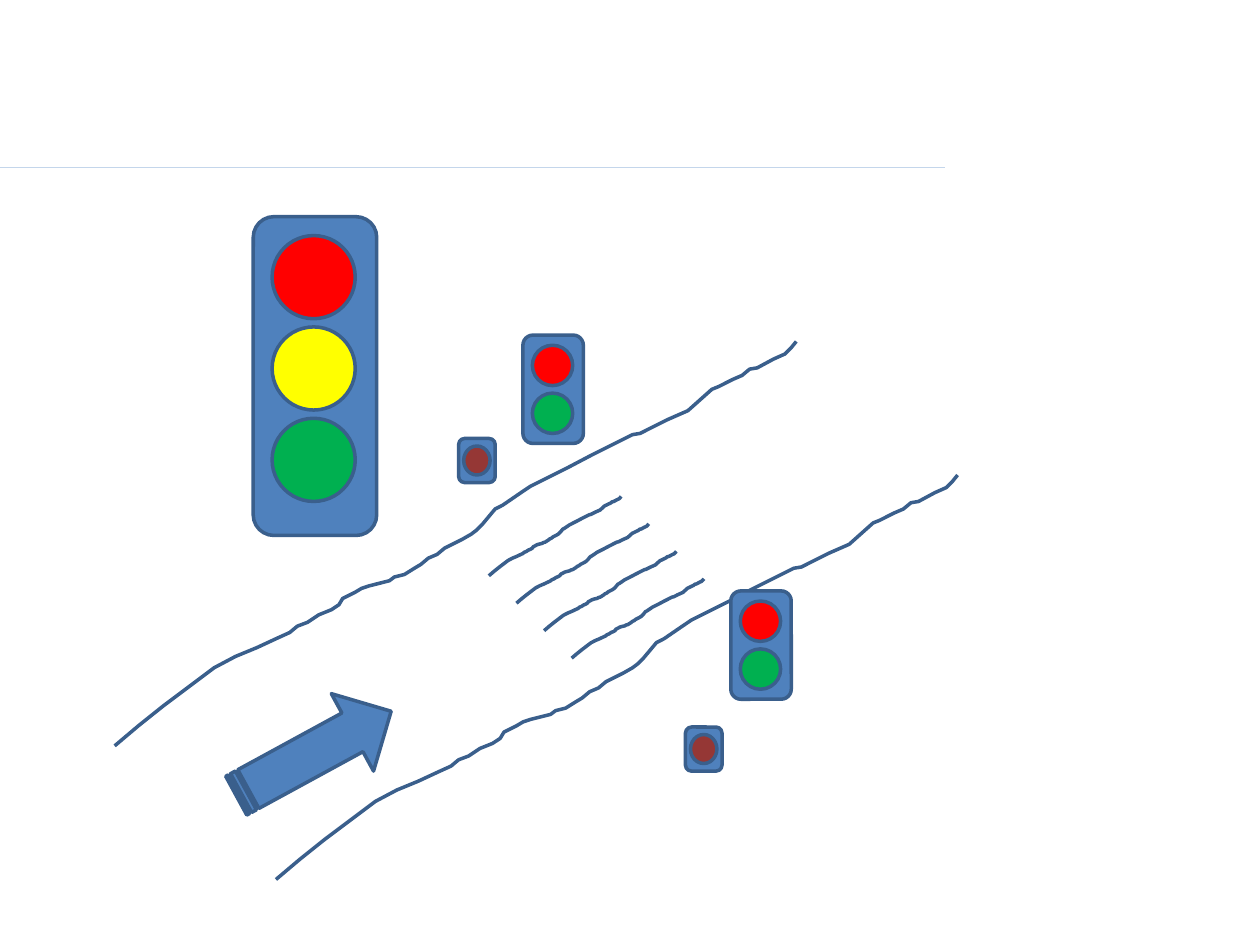
"""Build a slide of a road crossing with its traffic lights."""
from typing import NamedTuple

from lxml import etree
from pptx import Presentation
from pptx.dml.color import RGBColor
from pptx.enum.shapes import MSO_CONNECTOR, MSO_SHAPE
from pptx.oxml.ns import qn
from pptx.util import Inches, Pt

BLUE = RGBColor(0x4F, 0x81, 0xBD)
EDGE = RGBColor(0x3A, 0x5F, 0x8C)
PALE = RGBColor(0xC4, 0xD6, 0xEB)
RED = RGBColor(0xFF, 0x00, 0x00)
YELLOW = RGBColor(0xFF, 0xFF, 0x00)
GREEN = RGBColor(0x00, 0xB0, 0x50)
BROWN = RGBColor(0x95, 0x37, 0x35)
ROUND = MSO_SHAPE.ROUNDED_RECTANGLE
OVAL = MSO_SHAPE.OVAL
ARROW = MSO_SHAPE.STRIPED_RIGHT_ARROW
STRAIGHT = MSO_CONNECTOR.STRAIGHT

WIDTH, HEIGHT = Inches(10), Inches(7.5)
COLS, ROWS = 100, 75
COL, ROW = WIDTH / COLS, HEIGHT / ROWS
THICK = {"width": Pt(2)}
THIN = {"width": Pt(0.75)}

WAVE_WIDTH, WAVE_HEIGHT = 541, 321
WAVE = [
    (0, 321), (19, 305), (39, 289), (59, 274), (79, 259), (96, 250), (113, 243),
    (128, 236), (139, 231), (145, 226), (153, 223), (162, 217), (172, 213),
    (178, 209), (181, 204), (191, 199), (196, 196), (202, 194), (218, 190),
    (222, 187), (230, 185), (238, 180), (243, 177), (249, 172), (256, 169),
    (262, 164), (276, 157), (283, 153), (287, 150), (292, 145), (302, 133),
    (308, 130), (324, 119), (330, 115), (338, 111), (352, 104), (360, 100),
    (379, 90), (401, 79), (411, 74), (417, 73), (433, 65), (439, 62),
    (455, 55), (474, 38), (479, 36), (491, 30), (498, 27), (504, 22),
    (510, 21), (523, 14), (532, 10), (537, 5), (541, 0),
]


class Box(NamedTuple):
    """A place on the grid, in columns and rows."""
    left: float
    top: float
    width: float
    height: float


class Kind(NamedTuple):
    """The make of a light: case, lamp size, inset, pitch and colours."""
    width: float
    height: float
    lamp: tuple[float, float]
    inset: tuple[float, float]
    pitch: float
    hues: tuple[RGBColor, ...]


class Light(NamedTuple):
    """A light of some kind, set on the grid."""
    kind: Kind
    left: float
    top: float


CAR = Kind(9.8, 25.3, (6.6, 6.6), (1.5, 1.5), 7.25, (RED, YELLOW, GREEN))
WALK = Kind(4.8, 8.6, (3.2, 3.2), (0.75, 0.8), 3.8, (RED, GREEN))
BUTTON = Kind(2.9, 3.5, (2.1, 2.3), (0.4, 0.6), 0, (BROWN,))

FRONT = Light(CAR, 20.1, 17.2)
SIDE = [Light(WALK, 41.5, 26.6), Light(WALK, 58, 46.9),
        Light(BUTTON, 54.4, 57.7), Light(BUTTON, 36.4, 34.8)]
KERBS = [Box(9.1, 27.1, 54.1, 32.1), Box(21.9, 37.7, 54.1, 32.1)]
STRIPES = [Box(38.8 + 2.19 * i, 39.4 + 2.18 * i, 10.5, 6.3) for i in range(4)]
WAY = Box(17.9, 56.3, 14, 7)


def set_line(line, hue: RGBColor, look: dict) -> None:
    """Colour a line and apply its format values."""
    line.color.rgb = hue
    for name, value in look.items():
        setattr(line, name, value)


def draw_shape(slide, form, box: Box, hue: RGBColor, turn: float = 0) -> None:
    """Draw one filled preset shape."""
    shape = slide.shapes.add_shape(
        form, round(box.left * COL), round(box.top * ROW),
        round(box.width * COL), round(box.height * ROW))
    shape.shadow.inherit = False
    shape.fill.solid()
    shape.fill.fore_color.rgb = hue
    shape.rotation = turn
    set_line(shape.line, EDGE, THICK)


def draw_light(slide, light: Light) -> None:
    """Draw a case and its column of lamps."""
    kind, left, top = light
    draw_shape(slide, ROUND, Box(left, top, kind.width, kind.height), BLUE)
    across, down = kind.inset
    for i, hue in enumerate(kind.hues):
        box = Box(left + across, top + down + i * kind.pitch, *kind.lamp)
        draw_shape(slide, OVAL, box, hue)


def draw_wave(slide, box: Box) -> None:
    """Draw the wavy road line scaled to a box."""
    points = [(round((box.left + x / WAVE_WIDTH * box.width) * COL),
               round((box.top + y / WAVE_HEIGHT * box.height) * ROW))
              for x, y in WAVE]
    pen = slide.shapes.build_freeform(*points[0])
    pen.add_line_segments(points[1:], close=False)
    shape = pen.convert_to_shape()
    shape.shadow.inherit = False
    shape.fill.background()
    set_line(shape.line, EDGE, THICK)


def draw_rule(slide) -> None:
    """Draw the thin rule under the title area."""
    level = round(13.3 * ROW)
    rule = slide.shapes.add_connector(
        STRAIGHT, 0, level, round(0.75 * WIDTH), level)
    set_line(rule.line, PALE, THIN)
    etree.SubElement(rule._element.spPr, qn("a:effectLst"))


def main() -> None:
    """Build and save the slide."""
    deck = Presentation()
    deck.slide_width, deck.slide_height = WIDTH, HEIGHT
    slide = deck.slides.add_slide(deck.slide_layouts[6])
    draw_rule(slide)
    draw_light(slide, FRONT)
    for box in KERBS + STRIPES:
        draw_wave(slide, box)
    for light in SIDE:
        draw_light(slide, light)
    draw_shape(slide, ARROW, WAY, BLUE, 331.4)
    deck.save("out.pptx")


if __name__ == "__main__":
    main()
